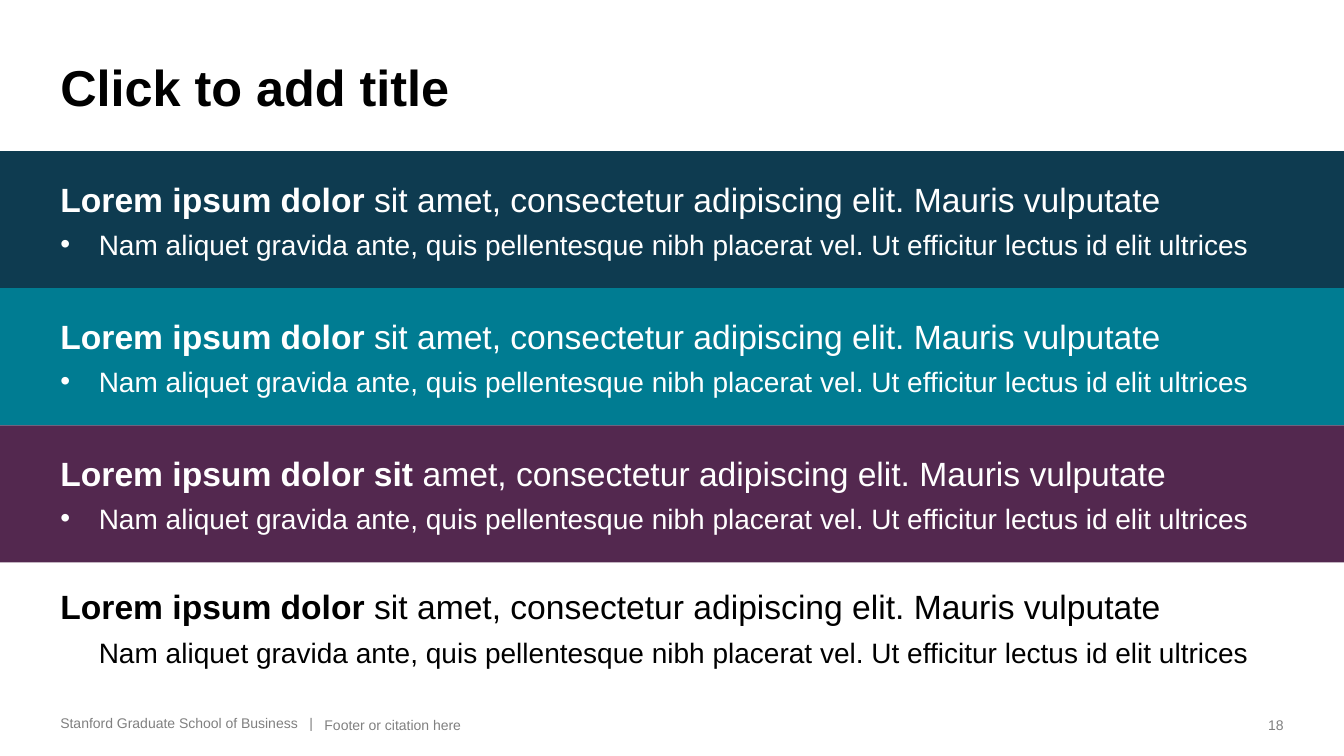
from lxml.etree import SubElement
from pptx import Presentation
from pptx.dml.color import RGBColor
from pptx.enum.shapes import MSO_SHAPE
from pptx.enum.text import MSO_ANCHOR as ANCHOR, PP_ALIGN as ALIGN
from pptx.oxml.ns import qn
from pptx.util import Pt

PX = 9144
COLORS = {"black": "000000", "white": "FFFFFF", "gray": "808080",
          "navy": "0E3B50", "teal": "007C92", "plum": "53284F"}
SLIDE_WIDTH, SLIDE_HEIGHT = 1333, 750
BAND_TOP, BAND_HEIGHT = 150, 136
INDENT = 38
HEADING = "Lorem ipsum dolor sit amet, consectetur adipiscing elit. Mauris vulputate"
DETAIL = ("Nam aliquet gravida ante, quis pellentesque nibh placerat vel. "
          "Ut efficitur lectus id elit ultrices")
BANDS = [("navy", "Lorem ipsum dolor "),
         ("teal", "Lorem ipsum dolor "),
         ("plum", "Lorem ipsum dolor sit ")]


def px(*lengths):
    """Turn px lengths into EMU."""
    return [length * PX for length in lengths]


def style(paragraph, size, color, bold=None):
    """Set the font of a whole paragraph."""
    font = paragraph.font
    font.name, font.size, font.bold = "Arial", Pt(size), bold
    font.color.rgb = RGBColor.from_string(COLORS[color])


def add_line(slide, box, text, size, color, bold=None, align=ALIGN.LEFT, tab=None):
    """Add a bottom-anchored line of text in the given box."""
    frame = slide.shapes.add_textbox(*px(*box)).text_frame
    frame.word_wrap = True
    frame.vertical_anchor = ANCHOR.BOTTOM
    paragraph = frame.paragraphs[0]
    paragraph.add_run().text = text
    paragraph.alignment = align
    if tab:
        tabs = SubElement(paragraph._p.get_or_add_pPr(), qn("a:tabLst"))
        SubElement(tabs, qn("a:tab"), pos=str(tab * PX), algn="l")
    style(paragraph, size, color, bold)


def add_band(slide, box, bold_part, color, fill=None):
    """Add a full-width band holding a heading and a detail line."""
    if fill:
        shape = slide.shapes.add_shape(MSO_SHAPE.RECTANGLE, *px(*box))
        shape.shadow.inherit = False
        shape.fill.solid()
        shape.fill.fore_color.rgb = RGBColor.from_string(COLORS[fill])
        shape.line.fill.background()
    else:
        shape = slide.shapes.add_textbox(*px(*box))
    frame = shape.text_frame
    frame.word_wrap = True
    frame.vertical_anchor = ANCHOR.MIDDLE
    frame.margin_left, frame.margin_right = px(60, 60)

    heading = frame.paragraphs[0]
    heading.alignment = ALIGN.LEFT
    for text, bold in ((bold_part, True), (HEADING.removeprefix(bold_part), False)):
        run = heading.add_run()
        run.text, run.font.bold = text, bold
    style(heading, 24, color)

    detail = frame.add_paragraph()
    detail.add_run().text = DETAIL
    detail.alignment = ALIGN.LEFT
    detail.space_before = Pt(6)
    properties = detail._p.get_or_add_pPr()
    properties.set("marL", str(INDENT * PX))
    if fill:
        properties.set("indent", str(-INDENT * PX))
        SubElement(properties, qn("a:buFont"), typeface="Arial")
        SubElement(properties, qn("a:buChar"), char="•")
    style(detail, 20, color)


def add_footer(slide, left, top, width):
    """Add the school name, the citation and the slide number."""
    add_line(slide, (left, top, 272, 27), "Stanford Graduate School of Business\t|",
             10, "gray", tab=247)
    add_line(slide, (left + 262, top, 917, 29), "Footer or citation here", 10, "gray")
    add_line(slide, (left + width - 39, top, 39, 29), "18", 10, "gray", align=ALIGN.RIGHT)


def main():
    """Build the slide and save it."""
    presentation = Presentation()
    presentation.slide_width, presentation.slide_height = px(SLIDE_WIDTH, SLIDE_HEIGHT)
    slide = presentation.slides.add_slide(presentation.slide_layouts[6])
    add_line(slide, (50, 50, 1233, 71), "Click to add title", 36, "black", bold=True)
    for index, (fill, bold_part) in enumerate(BANDS):
        top = BAND_TOP + index * BAND_HEIGHT
        add_band(slide, (0, top, SLIDE_WIDTH, BAND_HEIGHT), bold_part, "white", fill)
    add_band(slide, (0, 555, SLIDE_WIDTH, 135), "Lorem ipsum dolor ", "black")
    add_footer(slide, 50, 703, 1233)
    presentation.save("out.pptx")


if __name__ == "__main__":
    main()
